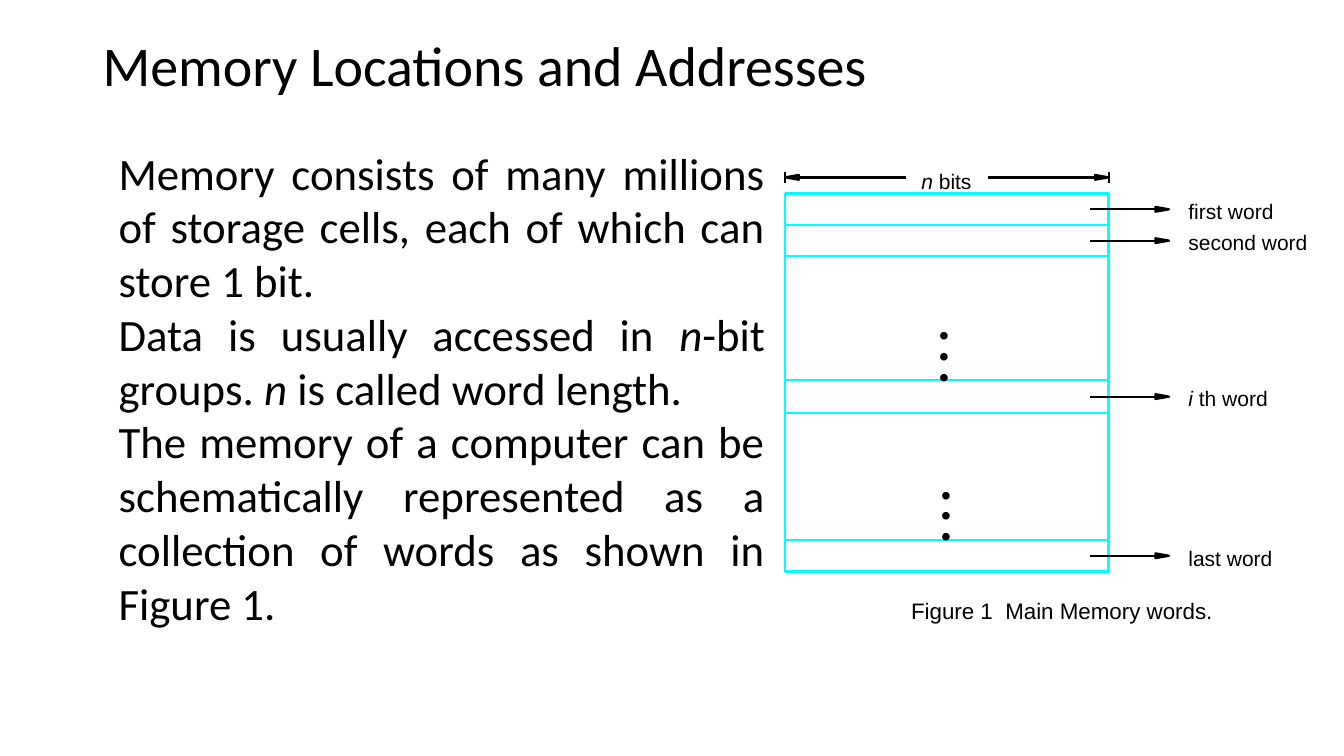
import pptx
import pptx.dml.color
import pptx.enum.shapes
import pptx.enum.text
import pptx.util
from dataclasses import dataclass
from lxml import etree
from pptx.oxml.ns import qn

Cm = pptx.util.Cm
Pt = pptx.util.Pt
ALIGN = pptx.enum.text.PP_ALIGN
ANCHOR = pptx.enum.text.MSO_ANCHOR


@dataclass(frozen=True)
class Theme:
    ink: str = "000000"
    cell: str = "00FFFF"
    text_font: str = "Calibri"
    figure_font: str = "Arial"
    title_size: float = 40
    body_size: float = 32
    dots_size: float = 20
    caption_size: float = 16
    label_size: float = 15
    line_width: float = 1.62
    dots_pitch: float = 14.8


THEME = Theme()

# Memory block in centimetres
LEFT, RIGHT = 19.79, 27.94
ROW_EDGES = [4.88, 5.67, 6.46, 9.58, 10.41, 13.61, 14.4]
SPAN_Y = 4.47
LABEL_LEFT = 29.95
HEAD_LENGTH, HEAD_HALF = 0.34, 0.06

# Runs are (text, italic) pairs
BODY = [
    [("Memory consists of many millions of storage cells, "
      "each of which can store 1 bit.", False)],
    [("Data is usually accessed in ", False), ("n", True),
     ("-bit groups. ", False), ("n", True),
     (" is called word length.", False)],
    [("The memory of a computer can be schematically represented "
      "as a collection of words as shown in Figure 1.", False)],
]
WORDS = [
    (0, [("first word", False)]),
    (1, [("second word", False)]),
    (3, [("i", True), (" th word", False)]),
    (5, [("last word", False)]),
]


def rgb(color):
    return pptx.dml.color.RGBColor.from_string(color)


def write(frame, paragraphs, font, size, align=ALIGN.LEFT, spacing=None):
    for index, runs in enumerate(paragraphs):
        paragraph = frame.add_paragraph() if index else frame.paragraphs[0]
        paragraph.alignment = align
        paragraph.line_spacing = spacing
        for text, italic in runs:
            run = paragraph.add_run()
            run.text = text
            run.font.name = font
            run.font.size = Pt(size)
            run.font.italic = italic
            run.font.color.rgb = rgb(THEME.ink)


def add_text(slide, left, top, width, height, inset=(0, 0)):
    box = slide.shapes.add_textbox(Cm(left), Cm(top), Cm(width), Cm(height))
    frame = box.text_frame
    frame.word_wrap = True
    frame.margin_left = frame.margin_right = Cm(inset[0])
    frame.margin_top = frame.margin_bottom = Cm(inset[1])
    return frame


def add_label(slide, left, top, width, runs, size):
    frame = add_text(slide, left, top, width, 0.65)
    write(frame, [runs], THEME.figure_font, size)


def add_line(slide, x1, y1, x2, y2, color):
    line = slide.shapes.add_connector(
        pptx.enum.shapes.MSO_CONNECTOR.STRAIGHT,
        Cm(x1), Cm(y1), Cm(x2), Cm(y2))
    line.line.color.rgb = rgb(color)
    line.line.width = Pt(THEME.line_width)
    etree.SubElement(line._element.spPr, qn("a:effectLst"))


def add_arrow(slide, start, tip, y):
    """Horizontal arrow with a slim solid head at the tip."""
    back = tip - HEAD_LENGTH if tip > start else tip + HEAD_LENGTH
    add_line(slide, start, y, back, y, THEME.ink)
    builder = slide.shapes.build_freeform(Cm(back), Cm(y - HEAD_HALF))
    builder.add_line_segments(
        [(Cm(tip), Cm(y)), (Cm(back), Cm(y + HEAD_HALF))], close=True)
    head = builder.convert_to_shape()
    head.shadow.inherit = False
    head.fill.solid()
    head.fill.fore_color.rgb = rgb(THEME.ink)
    head.line.color.rgb = rgb(THEME.ink)
    head.line.width = Pt(THEME.line_width)


def add_dots(slide, left, top):
    frame = add_text(slide, left, top, 0.74, 1.6, inset=(0.25, 0))
    write(frame, [[("•", False)]] * 3, THEME.figure_font, THEME.dots_size,
          spacing=Pt(THEME.dots_pitch))


def add_title(slide):
    title = slide.shapes.title
    title.left, title.top = Cm(2.33), Cm(0.85)
    title.width, title.height = Cm(29.21), Cm(1.77)
    title.text_frame.vertical_anchor = ANCHOR.MIDDLE
    write(title.text_frame, [[("Memory Locations and Addresses", False)]],
          THEME.text_font, THEME.title_size, spacing=0.9)


def add_memory(slide):
    # Block and word boundaries
    block = slide.shapes.add_shape(
        pptx.enum.shapes.MSO_SHAPE.RECTANGLE, Cm(LEFT), Cm(ROW_EDGES[0]),
        Cm(RIGHT - LEFT), Cm(ROW_EDGES[-1] - ROW_EDGES[0]))
    block.shadow.inherit = False
    block.fill.background()
    block.line.color.rgb = rgb(THEME.cell)
    block.line.width = Pt(THEME.line_width)
    for edge in ROW_EDGES[1:-1]:
        add_line(slide, LEFT, edge, RIGHT, edge, THEME.cell)

    # Word length across the top
    for side, start in ((LEFT, 22.83), (RIGHT, 24.89)):
        add_line(slide, side, SPAN_Y - 0.13, side, SPAN_Y + 0.13, THEME.ink)
        add_arrow(slide, start, side, SPAN_Y)
    add_label(slide, 23.22, 4.24, 1.6, [("n", True), (" bits", False)],
              THEME.label_size)

    # Named words
    for row, runs in WORDS:
        middle = (ROW_EDGES[row] + ROW_EDGES[row + 1]) / 2
        add_arrow(slide, 27.48, 29.46, middle)
        add_label(slide, LABEL_LEFT, middle - 0.27, 3.3, runs,
                  THEME.label_size)

    # Omitted words
    add_dots(slide, 23.42, 8.33)
    add_dots(slide, 23.47, 12.35)


def main():
    presentation = pptx.Presentation()
    presentation.slide_width = Cm(33.87)
    presentation.slide_height = Cm(19.05)
    slide = presentation.slides.add_slide(presentation.slide_layouts[5])

    add_title(slide)
    body = add_text(slide, 2.74, 3.53, 16.79, 12.57, inset=(0.25, 0.13))
    write(body, BODY, THEME.text_font, THEME.body_size, ALIGN.JUSTIFY)
    add_memory(slide)
    add_label(slide, 22.96, 15.04, 8.2,
              [("Figure 1  Main Memory words.", False)], THEME.caption_size)

    presentation.save("out.pptx")


main()
